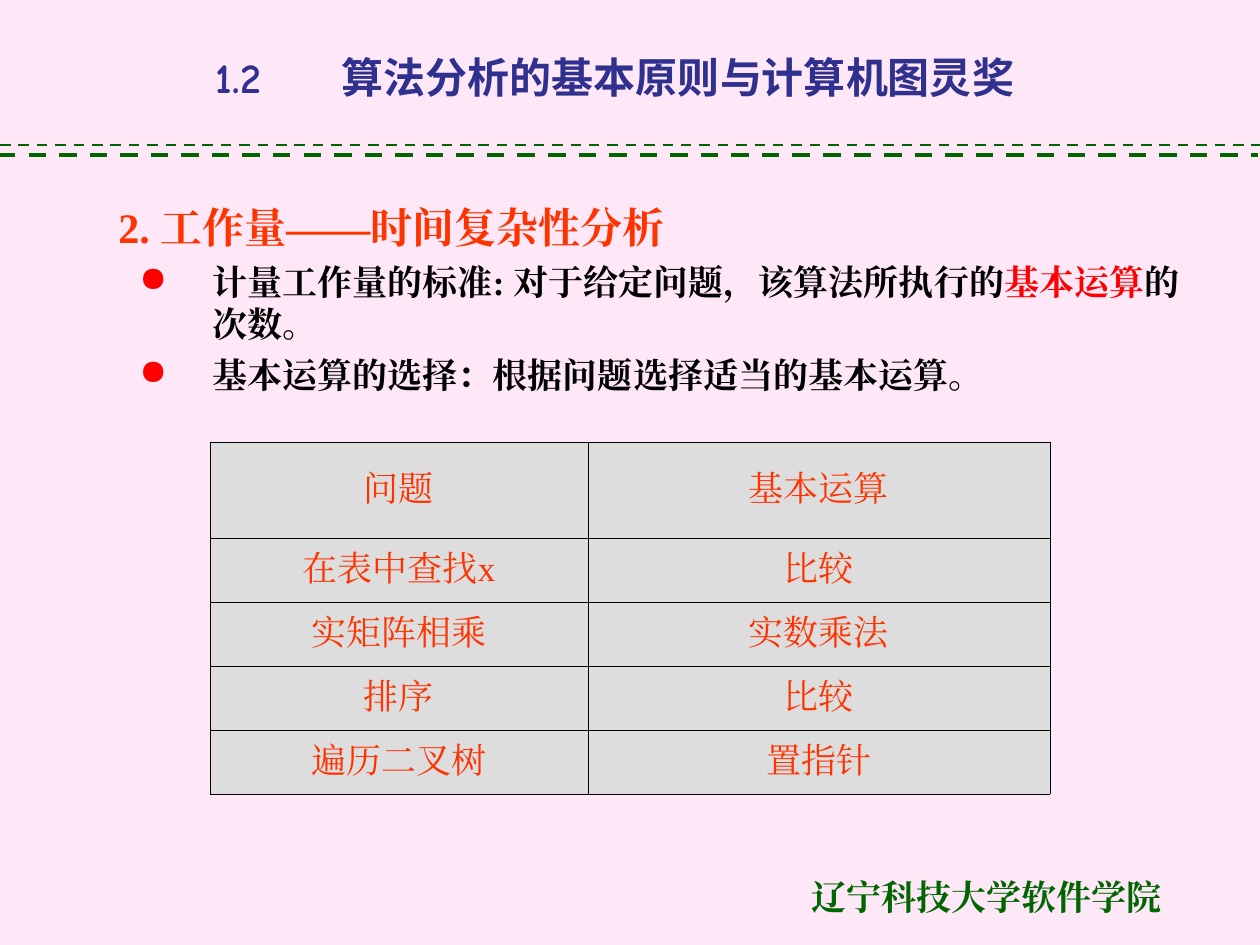
from lxml import etree
from pptx import Presentation
from pptx import util as u
from pptx.dml.color import RGBColor
from pptx.enum import dml, shapes, text
from pptx.oxml.ns import qn

SERIF = "Times New Roman"
TITLE_FONT = "Comic Neue"
GREEN, ORANGE, RED, BLACK = "006600", "FF3300", "FF0000", "000000"


def px(n):
    """Turn pixels at 126 to the inch into EMU."""
    return u.Emu(round(n * 914400 / 126))


def color(hex_code):
    """Turn a hex string into a colour."""
    return RGBColor.from_string(hex_code)


def sub(parent, tag, **attrs):
    """Append an XML element with the given attributes."""
    el = etree.SubElement(parent, qn(tag))
    for key, value in attrs.items():
        el.set(key, str(value))
    return el


def add_run(p, words, size, hex_code, font=SERIF, bold=True):
    """Add one styled run to a paragraph."""
    r = p.add_run()
    r.text = words
    r.font.size = u.Pt(size)
    r.font.bold = bold
    r.font.name = font
    r.font.color.rgb = color(hex_code)
    sub(r.font._element, "a:ea", typeface=font)


def add_box(s, box):
    """Add a wrapping text box and return its frame."""
    tf = s.shapes.add_textbox(*map(px, box)).text_frame
    tf.word_wrap = True
    return tf


def add_title(s, box, number, words):
    """Place the centred title with its number set off by a tab."""
    p = add_box(s, box).paragraphs[0]
    p.alignment = text.PP_ALIGN.CENTER
    tabs = sub(p._p.get_or_add_pPr(), "a:tabLst")
    sub(tabs, "a:tab", pos=px(126), algn="l")
    add_run(p, f"{number}\t{words}", 24, "30308E", TITLE_FONT)


def add_rules(s, box):
    """Draw the two dashed rules along the top and bottom of the box."""
    left, top, width, height = box
    for x, y, weight in ((left, top, 1.5), (left - 2, top + height, 2.5)):
        line = s.shapes.add_connector(
            shapes.MSO_CONNECTOR.STRAIGHT, px(x), px(y), px(x + width), px(y))
        line.line.color.rgb = color(GREEN)
        line.line.width = u.Pt(weight)
        line.line.dash_style = dml.MSO_LINE.DASH
        sub(line._element.spPr, "a:effectLst")


def add_body(s, box, heading, points):
    """Place the heading and its bulleted points."""
    tf = add_box(s, box)
    p = tf.paragraphs[0]
    p._p.get_or_add_pPr().set("marL", str(px(42)))
    add_run(p, heading, 24, ORANGE)
    for runs in points:
        p = tf.add_paragraph()
        p.level = 1
        p.space_before = u.Pt(5)
        pPr = p._p.get_or_add_pPr()
        pPr.set("marL", str(px(136)))
        pPr.set("indent", str(px(-73)))
        sub(sub(pPr, "a:buClr"), "a:srgbClr", val=RED)
        sub(pPr, "a:buChar", char="●")
        for words, hex_code in runs:
            add_run(p, words, 20, hex_code)


def add_borders(cell):
    """Give a cell thin black borders on all sides."""
    tcPr = cell._tc.get_or_add_tcPr()
    for i, side in enumerate(("a:lnL", "a:lnR", "a:lnT", "a:lnB")):
        ln = etree.Element(qn(side), w=str(u.Pt(0.45)))
        sub(sub(ln, "a:solidFill"), "a:srgbClr", val=BLACK)
        tcPr.insert(i, ln)


def add_operations(s, box, widths, heights, rows):
    """Place the table of problems and their basic operations."""
    table = s.shapes.add_table(len(rows), len(widths), *map(px, box)).table
    for col, width in zip(table.columns, widths):
        col.width = px(width)
    for row, height, entries in zip(table.rows, heights, rows):
        row.height = px(height)
        for cell, words in zip(row.cells, entries):
            cell.fill.solid()
            cell.fill.fore_color.rgb = color("DDDDDD")
            cell.vertical_anchor = text.MSO_ANCHOR.MIDDLE
            add_borders(cell)
            p = cell.text_frame.paragraphs[0]
            p.alignment = text.PP_ALIGN.CENTER
            add_run(p, words, 20, ORANGE, bold=False)


def add_footer(s, box, words):
    """Place the school name."""
    add_run(add_box(s, box).paragraphs[0], words, 20, GREEN)


def main():
    """Build and save the slide."""
    prs = Presentation()
    prs.slide_width, prs.slide_height = px(1260), px(945)
    s = prs.slides.add_slide(prs.slide_layouts[6])
    s.background.fill.solid()
    s.background.fill.fore_color.rgb = color("FEE8F7")
    add_footer(s, (799, 869, 446, 55), "辽宁科技大学软件学院")
    add_rules(s, (0, 145, 1260, 10))
    add_body(s, (64, 195, 1134, 655), "2. 工作量——时间复杂性分析", [
        [("计量工作量的标准: 对于给定问题，该算法所执行的", BLACK),
         ("基本运算", RED), ("的次数。", BLACK)],
        [("基本运算的选择：根据问题选择适当的基本运算。", BLACK)],
    ])
    add_operations(s, (210, 442, 840, 352), (378, 462), (96, 64, 64, 64, 64), [
        ("问题", "基本运算"),
        ("在表中查找x", "比较"),
        ("实矩阵相乘", "实数乘法"),
        ("排序", "比较"),
        ("遍历二叉树", "置指针"),
    ])
    add_title(s, (144, 45, 942, 79), "1.2", "算法分析的基本原则与计算机图灵奖")
    prs.save("out.pptx")


if __name__ == "__main__":
    main()
